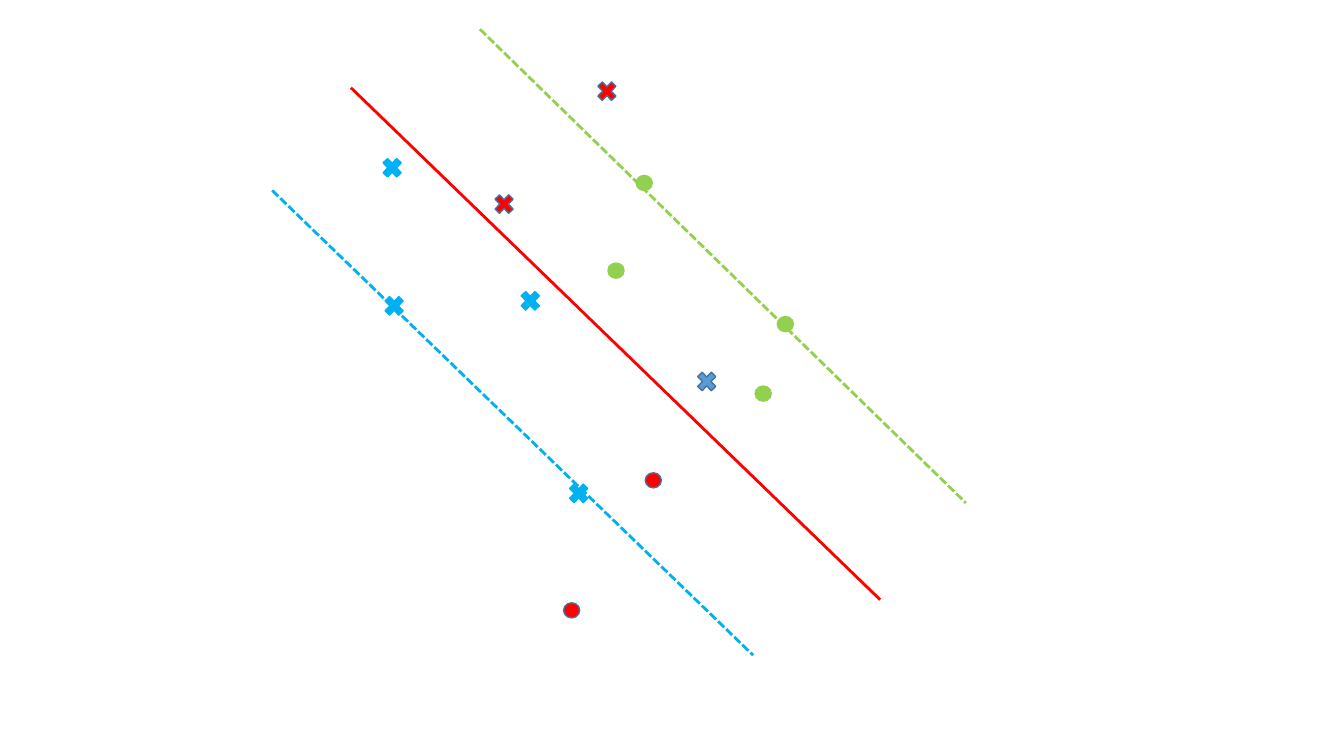
"""Draw a separating line with its two margins and the points around it."""
from pptx import Presentation
from pptx import util as u
from pptx.dml import color
from pptx.enum import dml, shapes
from pptx.oxml import ns, xmlchemy

# The slide is a grid of one-inch cells; places are (column, row).
COLUMNS, ROWS = 13.33, 7.5
CELL = u.Inches(1)

COLORS = {"red": "FF0000", "blue": "00B0F0", "green": "92D050",
          "steel": "5B9BD5", "outline": "43739E"}

DASHED = dml.MSO_LINE.SQUARE_DOT
BOUNDARIES = [  # colour, start, end, dash style
    ("red", (3.48, 0.87), (8.73, 5.95), None),
    ("blue", (2.7, 1.89), (7.47, 6.5), DASHED),
    ("green", (4.76, 0.29), (9.58, 4.99), DASHED),
]

MARKERS = {  # preset shape, columns wide, rows high
    "dot": (shapes.MSO_SHAPE.OVAL, 0.16, 0.15),
    "cross": (shapes.MSO_SHAPE.MATH_MULTIPLY, 0.26, 0.27),
}
POINTS = [  # marker, fill, outline, top left corners
    ("dot", "green", "green",
     [(6.03, 2.61), (6.31, 1.74), (7.71, 3.14), (7.49, 3.83)]),
    ("dot", "red", "outline", [(6.4, 4.69), (5.59, 5.98)]),
    ("cross", "blue", "blue",
     [(5.13, 2.85), (3.76, 1.53), (5.61, 4.76), (3.78, 2.9)]),
    ("cross", "steel", "outline", [(6.88, 3.65)]),
    ("cross", "red", "outline", [(4.87, 1.89), (5.89, 0.77)]),
]


def cells(*counts):
    """Turn counts of grid cells into slide lengths."""
    return [u.Emu(round(count * CELL)) for count in counts]


def apply_format(target, values):
    """Set each named attribute of the target."""
    for name, value in values.items():
        setattr(target, name, value)


def paint(fill, color_name):
    """Give a fill one solid colour."""
    fill.solid()
    fill.fore_color.rgb = color.RGBColor.from_string(COLORS[color_name])


def add_boundary(slide, color_name, start, end, dash):
    """Draw a straight boundary line between two grid places."""
    connector = slide.shapes.add_connector(
        shapes.MSO_CONNECTOR.STRAIGHT, *cells(*start, *end))
    paint(connector.line.fill, color_name)
    apply_format(connector.line, {"width": u.Pt(2), "dash_style": dash})
    properties = connector._element.spPr
    properties.append(xmlchemy.OxmlElement("a:effectLst"))


def add_point(slide, marker, fill_name, line_name, corner):
    """Draw one data point with its top left corner at a grid place."""
    preset, width, height = MARKERS[marker]
    shape = slide.shapes.add_shape(preset, *cells(*corner, width, height))
    paint(shape.fill, fill_name)
    paint(shape.line.fill, line_name)
    apply_format(shape.line, {"width": u.Pt(1)})
    apply_format(shape.shadow, {"inherit": False})


def main():
    """Build the slide and save it."""
    presentation = Presentation()
    width, height = cells(COLUMNS, ROWS)
    apply_format(presentation, {"slide_width": width, "slide_height": height})
    slide = presentation.slides.add_slide(presentation.slide_layouts[6])
    for boundary in BOUNDARIES:
        add_boundary(slide, *boundary)
    for marker, fill_name, line_name, corners in POINTS:
        for corner in corners:
            add_point(slide, marker, fill_name, line_name, corner)
    presentation.save("out.pptx")


main()
